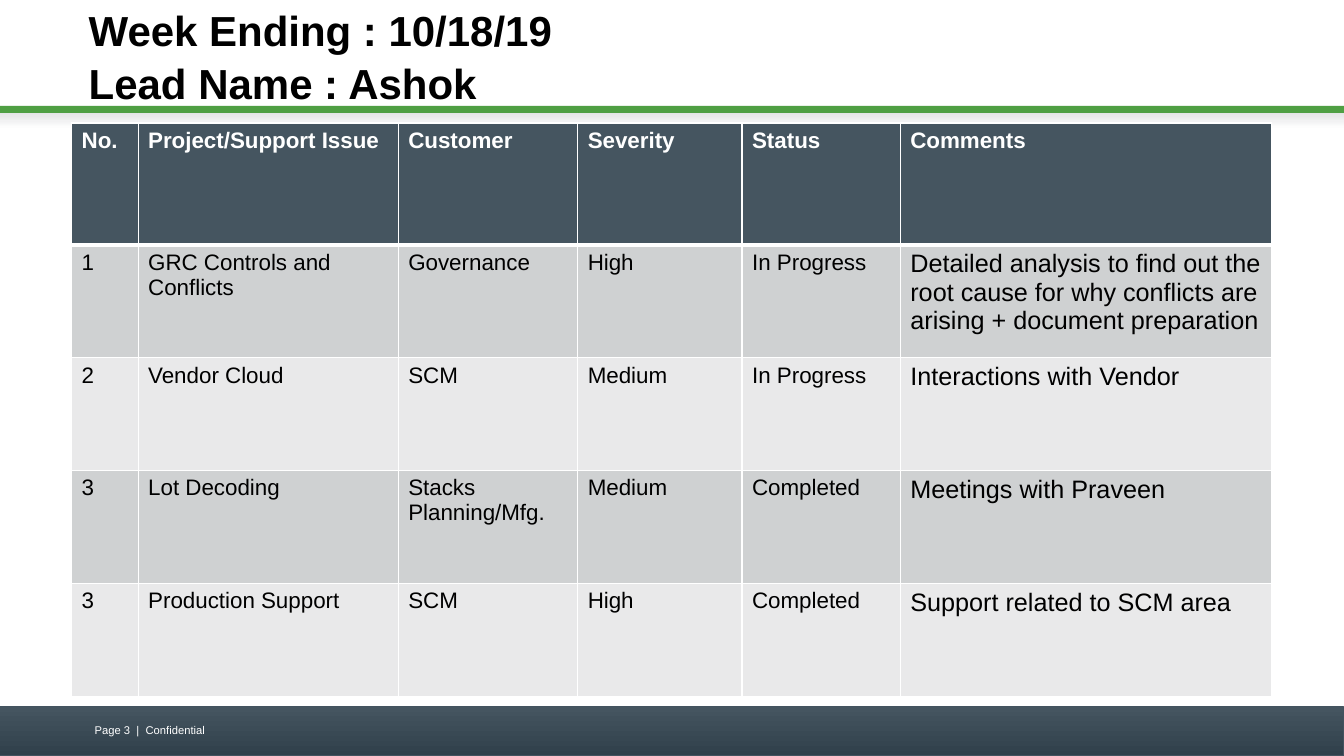
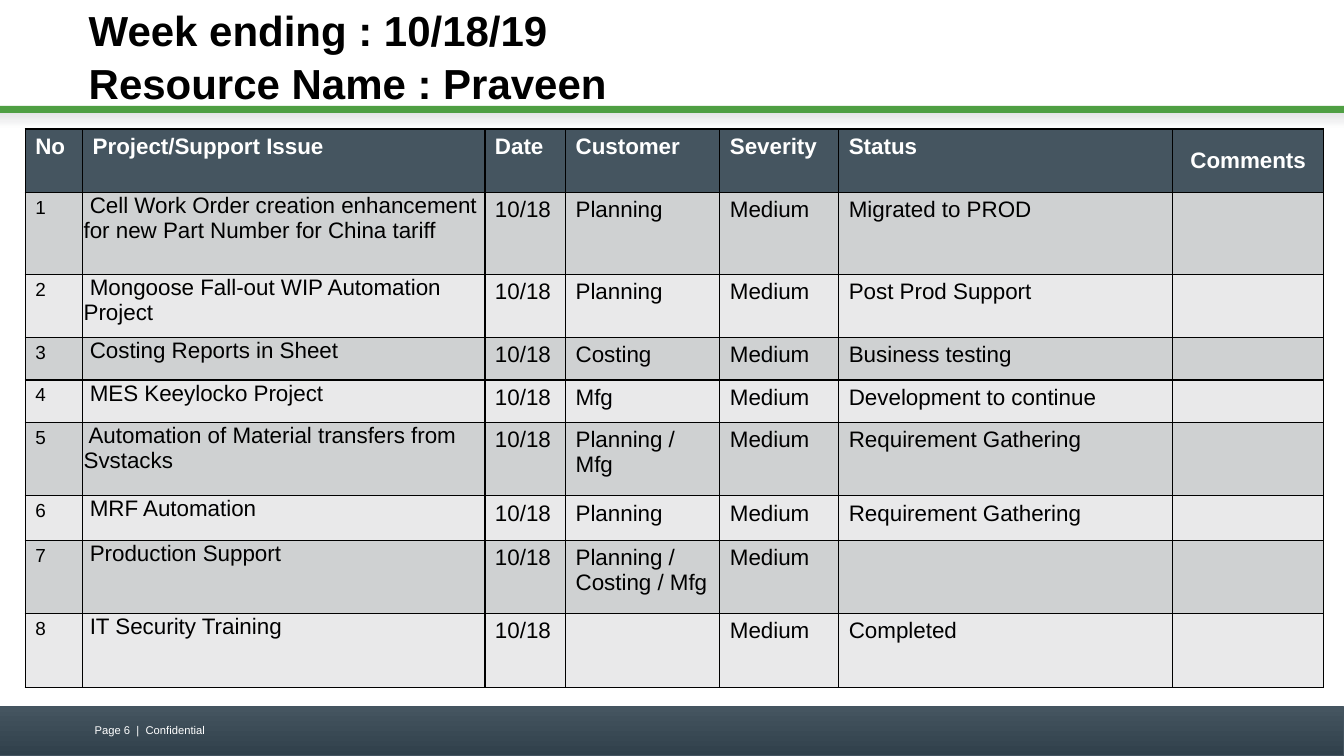
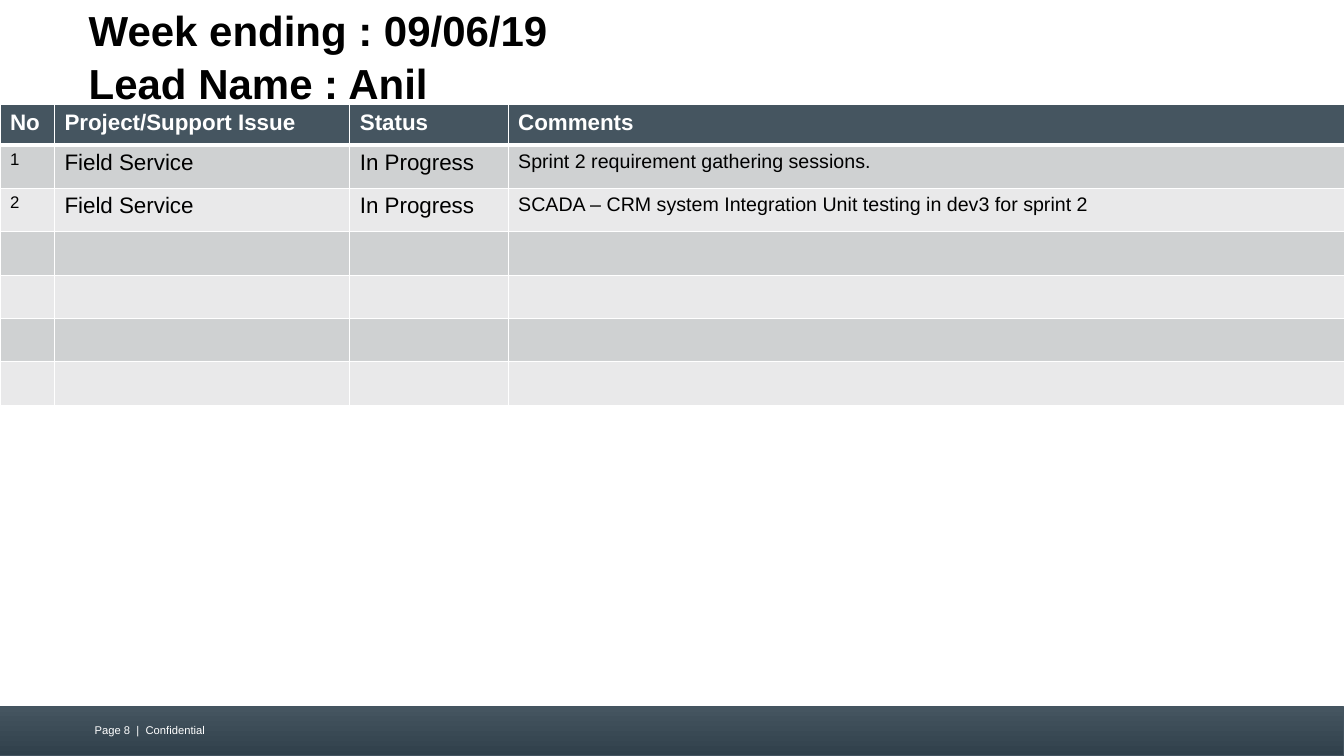
from lxml.etree import SubElement
from pptx import Presentation
from pptx.dml.color import RGBColor
from pptx.enum.shapes import MSO_SHAPE as Shape
from pptx.enum.text import MSO_ANCHOR as Anchor, PP_ALIGN as Align
from pptx.oxml.ns import qn
from pptx.util import Inches, Pt

WHITE = RGBColor(0xFF, 0xFF, 0xFF)
BLACK = RGBColor(0x00, 0x00, 0x00)
SLATE = RGBColor(0x45, 0x55, 0x60)
SLATE_DARK = RGBColor(0x30, 0x40, 0x4B)
SLATE_LINE = RGBColor(0x43, 0x53, 0x5F)
GREEN = RGBColor(0x4F, 0x9F, 0x43)
GREY_SHADE = RGBColor(0xE4, 0xE5, 0xE6)
ROW_DARK = RGBColor(0xCF, 0xD1, 0xD2)
ROW_LIGHT = RGBColor(0xE9, 0xE9, 0xEA)

FONT = "Arial"
SLIDE_WIDTH, SLIDE_HEIGHT = 13.33, 7.5


# Shared parts
def set_font(paragraph, size, color, bold=False):
    font = paragraph.font
    font.name, font.size, font.bold = FONT, Pt(size), bold
    font.color.rgb = color


def add_band(slide, box, colors, line=None):
    """Full-width band, solid for one colour, top-to-bottom gradient for two."""
    band = slide.shapes.add_shape(Shape.RECTANGLE, *map(Inches, box))
    band.shadow.inherit = False
    if len(colors) == 1:
        band.fill.solid()
        band.fill.fore_color.rgb = colors[0]
    else:
        band.fill.gradient()
        band.fill.gradient_angle = 270
        for stop, color, position in zip(band.fill.gradient_stops, colors, (0, 1)):
            stop.color.rgb = color
            stop.position = position
    if line:
        band.line.color.rgb = line
        band.line.width = Pt(0.75)
    else:
        band.line.fill.background()


def add_text(slide, box, lines, size, color, side_inset, bold=False,
             anchor=Anchor.TOP, spacing=1.0):
    frame = slide.shapes.add_textbox(*map(Inches, box)).text_frame
    frame.word_wrap = True
    frame.vertical_anchor = anchor
    frame.margin_left = frame.margin_right = Inches(side_inset)
    frame.margin_top = frame.margin_bottom = Inches(0.05)
    for index, line in enumerate(lines):
        paragraph = frame.add_paragraph() if index else frame.paragraphs[0]
        paragraph.text = line
        paragraph.line_spacing = spacing
        set_font(paragraph, size, color, bold)


def add_frame(presentation, title_lines, page):
    """New slide with bands, title and footer."""
    slide = presentation.slides.add_slide(presentation.slide_layouts[6])
    add_band(slide, (0, 7.01, SLIDE_WIDTH, 0.49), (SLATE, SLATE_DARK), SLATE_LINE)
    add_band(slide, (0, 1.12, SLIDE_WIDTH, 0.16), (GREY_SHADE, WHITE))
    add_band(slide, (0, 1.05, SLIDE_WIDTH, 0.07), (GREEN,))
    add_text(slide, (0.88, 0.14, 11.33, 0.81), title_lines, 30, BLACK, 0,
             bold=True, anchor=Anchor.MIDDLE, spacing=1.05)
    add_text(slide, (0.84, 7.13, 3.11, 0.26), [f"Page {page}  |  Confidential"],
             8, WHITE, 0.1)
    return slide


# Status table
def set_borders(cell, color, top, bottom):
    properties = cell._tc.get_or_add_tcPr()
    widths = {"a:lnL": 1, "a:lnR": 1, "a:lnT": top, "a:lnB": bottom}
    for index, (tag, width) in enumerate(widths.items()):
        line = SubElement(properties, qn(tag), w=str(Pt(width)))
        fill = SubElement(line, qn("a:solidFill"))
        SubElement(fill, qn("a:srgbClr"), val=str(color))
        properties.remove(line)
        properties.insert(index, line)


def add_status_table(slide, left, top, column_widths, row_heights, rows, sizes,
                     border=WHITE, header_rule=3):
    """Header row plus banded body rows; sizes holds the body size per column."""
    table = slide.shapes.add_table(
        len(rows), len(column_widths), Inches(left), Inches(top),
        Inches(sum(column_widths)), Inches(sum(row_heights))).table
    table.first_row = table.horz_banding = False
    for column, width in zip(table.columns, column_widths):
        column.width = Inches(width)
    for r, (height, texts) in enumerate(zip(row_heights, rows)):
        table.rows[r].height = Inches(height)
        header = r == 0
        for c, text in enumerate(texts):
            cell = table.cell(r, c)
            cell.fill.solid()
            cell.fill.fore_color.rgb = (
                SLATE if header else ROW_DARK if r % 2 else ROW_LIGHT)
            set_borders(cell, border, header_rule if r == 1 else 1,
                        header_rule if header else 1)
            paragraph = cell.text_frame.paragraphs[0]
            if text:
                paragraph.text = text
            set_font(paragraph, 16 if header else sizes[c],
                     WHITE if header else BLACK, header)
    return table


# Slides
def build_ashok_slide(presentation):
    slide = add_frame(presentation, ["Week Ending : 10/18/19", "Lead Name : Ashok"], 3)
    rows = [
        ("No.", "Project/Support Issue", "Customer", "Severity", "Status", "Comments"),
        ("1", "GRC Controls and Conflicts", "Governance", "High", "In Progress",
         "Detailed analysis to find out the root cause for why conflicts are "
         "arising + document preparation"),
        ("2", "Vendor Cloud", "SCM", "Medium", "In Progress",
         "Interactions with Vendor"),
        ("3", "Lot Decoding", "Stacks Planning/Mfg.", "Medium", "Completed",
         "Meetings with Praveen"),
        ("3", "Production Support", "SCM", "High", "Completed",
         "Support related to SCM area"),
    ]
    add_status_table(slide, 0.71, 1.22, [0.66, 2.58, 1.78, 1.63, 1.57, 3.68],
                     [1.21] + [1.12] * 4, rows, [16] * 5 + [18])


def build_praveen_slide(presentation):
    slide = add_frame(presentation,
                      ["Week ending : 10/18/19", "Resource Name : Praveen"], 6)
    header = ("No", "Project/Support Issue", "Date", "Customer", "Severity",
              "Status", "Comments")
    issues = [
        ("Cell Work Order creation enhancement for new Part Number for China tariff",
         "Planning", "Migrated to PROD"),
        ("Mongoose Fall-out WIP Automation Project", "Planning", "Post Prod Support"),
        ("Costing Reports in Sheet", "Costing", "Business testing"),
        ("MES Keeylocko Project", "Mfg", "Development to continue"),
        ("Automation of Material transfers from Svstacks", "Planning / Mfg",
         "Requirement Gathering"),
        ("MRF Automation", "Planning", "Requirement Gathering"),
        ("Production Support", "Planning / Costing / Mfg", ""),
        ("IT Security Training", "", "Completed"),
    ]
    rows = [header] + [
        (str(number), f" {issue}", "10/18", customer, "Medium", status, "")
        for number, (issue, customer, status) in enumerate(issues, 1)]
    table = add_status_table(
        slide, 0.25, 1.28, [0.57, 3.99, 0.8, 1.53, 1.18, 3.31, 1.5],
        [0.63, 0.81, 0.63, 0.42, 0.42, 0.73, 0.44, 0.73, 0.73],
        rows, [13.5] + [16] * 6, border=BLACK, header_rule=1)
    # Issue cells sit tight against their borders
    for r in range(1, len(rows)):
        cell = table.cell(r, 1)
        cell.margin_left = cell.margin_right = cell.margin_top = Inches(0.01)
        cell.margin_bottom = 0
    comments = table.cell(0, 6)
    comments.vertical_anchor = Anchor.MIDDLE
    comments.text_frame.paragraphs[0].alignment = Align.CENTER


def build_anil_slide(presentation):
    slide = add_frame(presentation, ["Week ending : 09/06/19", "Lead Name : Anil"], 8)
    rows = [
        ("No", "Project/Support Issue", "Status", "Comments"),
        ("1", "Field Service", "In Progress",
         "Sprint 2 requirement gathering sessions."),
        ("2", "Field Service", "In Progress",
         "SCADA – CRM system Integration Unit testing in dev3 for sprint 2"),
    ] + [("",) * 4] * 4
    add_status_table(slide, 0, 1.04, [0.54, 2.93, 1.57, 8.3],
                     [0.4] + [0.43] * 6, rows, [12, 16, 16, 14])


def main():
    presentation = Presentation()
    presentation.slide_width = Inches(SLIDE_WIDTH)
    presentation.slide_height = Inches(SLIDE_HEIGHT)
    build_ashok_slide(presentation)
    build_praveen_slide(presentation)
    build_anil_slide(presentation)
    presentation.save("out.pptx")


if __name__ == "__main__":
    main()
